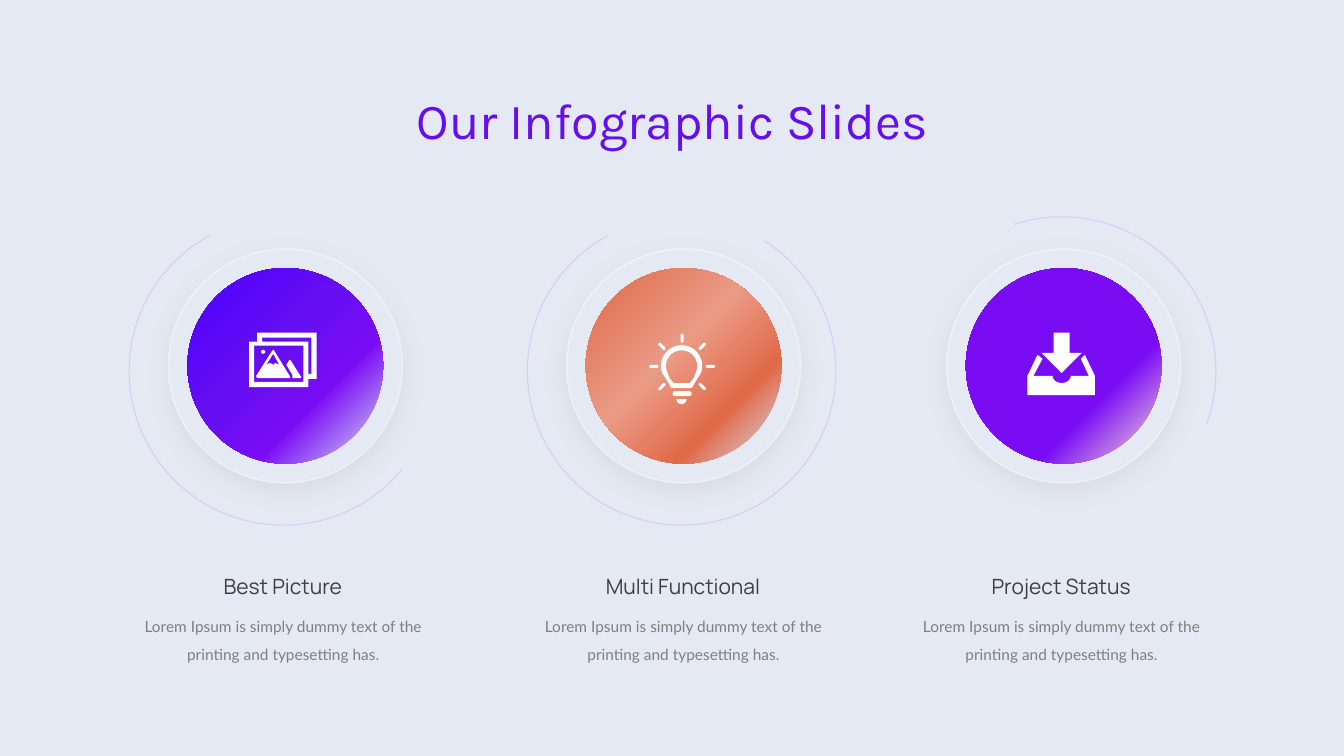
from math import cos, radians, sin

from lxml.etree import SubElement
from pptx import Presentation
from pptx.dml.color import RGBColor
from pptx.enum.shapes import MSO_SHAPE
from pptx.enum.text import MSO_AUTO_SIZE, PP_ALIGN
from pptx.oxml.ns import qn
from pptx.util import Pt

PX = 9144

MIST = RGBColor(0xE4, 0xE9, 0xF4)
WHITE = RGBColor(0xFF, 0xFF, 0xFF)
SHADE = RGBColor(0xBF, 0xBF, 0xBF)
BLUE = RGBColor(0x4C, 0x00, 0xFF)
INDIGO = RGBColor(0x65, 0x0E, 0xF2)
VIOLET = RGBColor(0x7A, 0x0C, 0xF4)
ORANGE = RGBColor(0xE0, 0x69, 0x48)
SALMON = RGBColor(0xEA, 0x9B, 0x86)
ICE = RGBColor(0xD8, 0xE2, 0xF3)
PEACH = RGBColor(0xFB, 0xE4, 0xD4)
CHARCOAL = RGBColor(0x3F, 0x3F, 0x3F)
GRAY = RGBColor(0x7F, 0x7F, 0x7F)

deck = Presentation()
deck.slide_width = 1333 * PX
deck.slide_height = 750 * PX
page = deck.slides.add_slide(deck.slide_layouts[6])
page.background.fill.solid()
page.background.fill.fore_color.rgb = MIST


def add_solid(kind, left, top, width, height, color):
    shape = page.shapes.add_shape(kind, left * PX, top * PX, width * PX, height * PX)
    shape.shadow.inherit = False
    shape.fill.solid()
    shape.fill.fore_color.rgb = color
    shape.line.fill.background()
    return shape


def add_text(left, top, width, height, text, font, size, color, spacing=1.0):
    box = page.shapes.add_textbox(left * PX, top * PX, width * PX, height * PX)
    box.text_frame.word_wrap = True
    box.text_frame.auto_size = MSO_AUTO_SIZE.SHAPE_TO_FIT_TEXT
    para = box.text_frame.paragraphs[0]
    para.alignment = PP_ALIGN.CENTER
    para.line_spacing = spacing
    span = para.add_run()
    span.text = text
    span.font.name = font
    span.font.size = Pt(size)
    span.font.color.rgb = color


add_text(371, 83, 592, 71, "Our Infographic Slides", "Karla", 36, INDIGO)

columns = [
    ("Best Picture", 167, 123, (131.87, 36.88),
     [(0, BLUE), (1, BLUE), (42, INDIGO), (67, VIOLET), (100, ICE)]),
    ("Multi Functional", 562, 520, (73.42, 36.88),
     [(0, ORANGE), (1, ORANGE), (44, SALMON), (73, ORANGE), (100, ICE)]),
    ("Project Status", 939, 895, (43.17, 119.91),
     [(0, VIOLET), (45, VIOLET), (68, VIOLET), (100, PEACH)]),
]

for heading, ring_left, text_left, arc_ends, stops in columns:
    ring = add_solid(MSO_SHAPE.OVAL, ring_left, 247, 232, 232, MIST)
    effects = ring._element.spPr.find(qn("a:effectLst"))
    shadow = SubElement(effects, qn("a:outerShdw"), blurRad=str(Pt(15)),
                        dist=str(Pt(5)), dir="5400000", algn="t", rotWithShape="0")
    tint = SubElement(shadow, qn("a:srgbClr"), val=str(SHADE))
    SubElement(tint, qn("a:alpha"), val="31000")

    disc = add_solid(MSO_SHAPE.OVAL, ring_left + 19, 266, 194, 194, VIOLET)
    disc.fill.gradient()
    gradient = disc._element.spPr.find(qn("a:gradFill"))
    for child in list(gradient):
        gradient.remove(child)
    stop_list = SubElement(gradient, qn("a:gsLst"))
    for position, color in stops:
        stop = SubElement(stop_list, qn("a:gs"), pos=str(position * 1000))
        SubElement(stop, qn("a:srgbClr"), val=str(color))
    circle = SubElement(gradient, qn("a:path"), path="circle")
    SubElement(circle, qn("a:fillToRect"), r="100000", b="100000")

    arc = add_solid(MSO_SHAPE.ARC, ring_left - 39, 215, 306, 306, VIOLET)
    arc.fill.background()
    arc.rotation = 180
    arc.adjustments[0], arc.adjustments[1] = arc_ends

    for shape, color, width, opacity in [(ring, WHITE, 1.25, 41), (arc, VIOLET, 0.75, 13)]:
        shape.line.color.rgb = color
        shape.line.width = Pt(width)
        tint = shape.line._ln.find(".//" + qn("a:srgbClr"))
        SubElement(tint, qn("a:alpha"), val=str(opacity * 1000))

    add_text(text_left, 598, 316, 62,
             "Lorem Ipsum is simply dummy text of the printing and typesetting has.",
             "Lato", 11, GRAY, 1.5)
    add_text(text_left + 41, 564, 233, 35, heading, "Manrope", 15, CHARCOAL)

bulb_x, bulb_y = 676, 363
bulb_outlines = []
for radius, shoulder, foot, base in [(20.5, 16, 10, 385), (15.5, 12, 8, 380)]:
    dome = [(bulb_x + radius * cos(radians(angle)), bulb_y + radius * sin(radians(angle)))
            for angle in range(160, 381, 10)]
    bulb_outlines.append(dome + [(bulb_x + shoulder, 375), (bulb_x + foot, base),
                                 (bulb_x - foot, base), (bulb_x - shoulder, 375)])
bulb_cap = [(bulb_x + 5 * cos(radians(angle)), 396 + 5 * sin(radians(angle)))
            for angle in range(0, 181, 15)]
tray_notch = [(1053 + 9 * cos(radians(angle)), 373 + 7 * sin(radians(angle)))
              for angle in range(0, 181, 15)]

icon_outlines = [
    [[(314, 330), (255, 330), (255, 339), (247, 339), (247, 384), (306, 384), (306, 376), (314, 376)],
     [(301, 379), (252, 379), (252, 343), (301, 343)],
     [(309, 371), (306, 371), (306, 339), (260, 339), (260, 335), (309, 335)]],
    [[(288, 374), (272, 348), (271, 347), (270, 348), (254, 373), (255, 375), (287, 375)],
     [(273, 360), (271, 362), (268, 360), (264, 362), (271, 351), (277, 362)]],
    [[(298, 373), (288, 357), (287, 357), (284, 362), (290, 372), (290, 375), (298, 375), (299, 374)]],
    bulb_outlines,
    [bulb_cap],
    [[(1076, 352), (1072, 356), (1080, 373)] + tray_notch +
     [(1025, 373), (1034, 356), (1029, 352), (1019, 373), (1019, 392), (1086, 392), (1086, 373)]],
    [[(1073, 350), (1061, 350), (1061, 330), (1045, 330), (1045, 350), (1033, 350), (1053, 370)]],
]

for outlines in icon_outlines:
    builder = None
    for points in outlines:
        (start_x, start_y), *rest = [(x * PX, y * PX) for x, y in points]
        if builder is None:
            builder = page.shapes.build_freeform(start_x, start_y)
        else:
            builder.move_to(start_x, start_y)
        builder.add_line_segments(rest, close=True)
    icon = builder.convert_to_shape()
    icon.shadow.inherit = False
    icon.fill.solid()
    icon.fill.fore_color.rgb = WHITE
    icon.line.fill.background()

add_solid(MSO_SHAPE.OVAL, 259, 347, 4, 4, WHITE)

bulb_bars = [(bulb_x, 390, 19, 5, 0)]
for angle in range(135, 406, 45):
    bulb_bars.append((round(bulb_x + 28 * cos(radians(angle))),
                      round(bulb_y + 28 * sin(radians(angle))), 9, 3, angle))
for center_x, center_y, length, thickness, angle in bulb_bars:
    bar = add_solid(MSO_SHAPE.ROUNDED_RECTANGLE, center_x - length // 2,
                    center_y - thickness // 2, length, thickness, WHITE)
    bar.adjustments[0] = 0.5
    bar.rotation = angle

deck.save("out.pptx")
